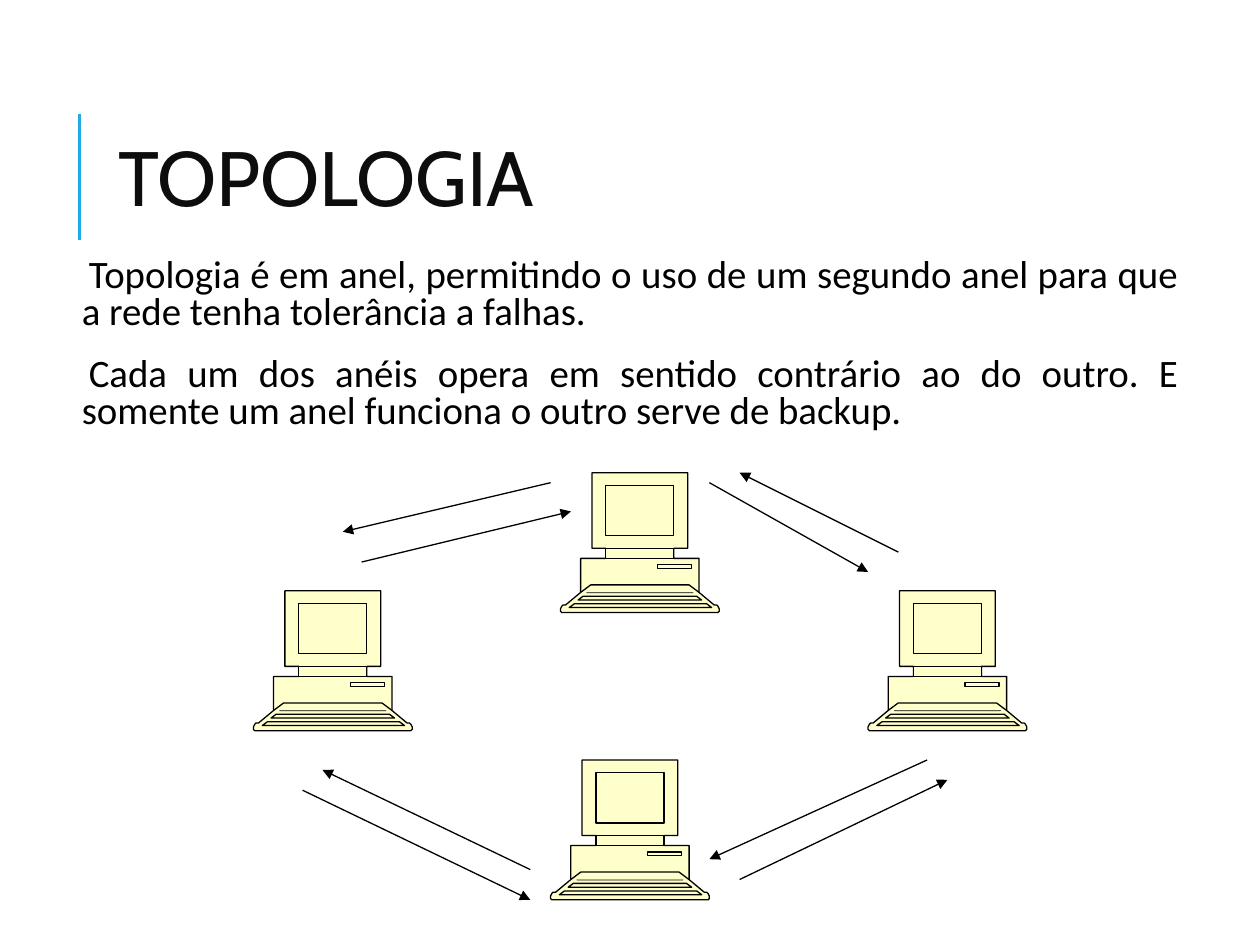
from lxml import etree
from pptx import Presentation
from pptx.dml.color import RGBColor
from pptx.enum.shapes import MSO_CONNECTOR
from pptx.enum.text import MSO_ANCHOR, PP_ALIGN
from pptx.oxml.ns import qn
from pptx.util import Cm, Pt

STRAIGHT = MSO_CONNECTOR.STRAIGHT
MIDDLE, TOP = MSO_ANCHOR.MIDDLE, MSO_ANCHOR.TOP
LEFT, JUSTIFY = PP_ALIGN.LEFT, PP_ALIGN.JUSTIFY

ACCENT = RGBColor(0x1C, 0xAD, 0xE4)
INK = RGBColor(0x0D, 0x0D, 0x0D)
BLACK = RGBColor(0x00, 0x00, 0x00)
CREAM = RGBColor(0xFF, 0xFF, 0xCC)

TITLE_FONT = {"name": "Cabin", "size": Pt(44)}
BODY_FONT = {"name": "Calibri", "size": Pt(22.2)}

# Computer drawing, in units of 0.0254 cm
UNIT = Cm(0.0254)
WIDTH = 126
HALF_OUTLINE = [(63, 0), (25, 0), (25, 60), (36, 60), (36, 68), (16, 68),
                (16, 95), (4, 105), (2, 105), (1, 106), (0, 108), (0, 110),
                (1, 111), (4, 111), (63, 111)]


def box(left, top, right, bottom):
    return [(left, top), (right, top), (right, bottom), (left, bottom)]


def key_row(left, right, bottom):
    return [(right, bottom), (right - 4, bottom - 3),
            (left + 4, bottom - 3), (left, bottom)]


OUTLINE = HALF_OUTLINE + [(WIDTH - x, y) for x, y in HALF_OUTLINE[-2:0:-1]]
KEYBOARD_TOP = [(110, 95), (102, 89), (24, 89), (16, 95)]
COMPUTER = [  # points, closed
    (OUTLINE, True),
    (key_row(21, 105, 95), True),
    (key_row(14, 112, 101), True),
    (key_row(7, 120, 107), True),
    (KEYBOARD_TOP, False),
    (box(77, 73, 104, 76), True),   # disk slot
    (box(36, 10, 90, 50), True),    # screen
    (box(36, 60, 90, 68), True),    # neck
]


class Deck:
    def __init__(self, prs, fill, line, line_width):
        self.s = prs.slides.add_slide(prs.slide_layouts[6])
        self.fill, self.line, self.line_width = fill, line, line_width

    def text(self, place, paragraphs, font, color, anchor=TOP, align=LEFT,
             inset=None, bullet=False):
        sp = self.s.shapes.add_textbox(*map(Cm, place))
        tf = sp.text_frame
        frame = {"word_wrap": True, "vertical_anchor": anchor}
        if inset is not None:
            for side in ("left", "top", "right", "bottom"):
                frame["margin_" + side] = Cm(inset)
        for name, value in frame.items():
            setattr(tf, name, value)
        for i, words in enumerate(paragraphs):
            p = tf.add_paragraph() if i else tf.paragraphs[0]
            p.alignment, p.line_spacing = align, 0.8
            if bullet:
                p.space_before, p.space_after = Pt(12 if i else 0), Pt(2)
                self.blank_bullet(p)
            r = p.add_run()
            r.text = words
            for name, value in font.items():
                setattr(r.font, name, value)
            r.font.color.rgb = color

    def blank_bullet(self, p):
        pPr = p._p.get_or_add_pPr()
        pPr.set("marL", str(Cm(0.25)))
        pPr.set("indent", str(-Cm(0.25)))
        etree.SubElement(pPr, qn("a:buChar")).set("char", " ")

    def connector(self, start, end, color=None, width=None, arrow=True):
        sp = self.s.shapes.add_connector(STRAIGHT, *map(Cm, start + end))
        sp.line.color.rgb = color or self.line
        sp.line.width = Pt(width or self.line_width)
        if arrow:
            ln = sp.line._get_or_add_ln()
            etree.SubElement(ln, qn("a:tailEnd")).set("type", "triangle")
        etree.SubElement(sp._element.spPr, qn("a:effectLst"))

    def computer(self, left, top):
        builder = None
        for points, closed in COMPUTER:
            if builder is None:
                builder = self.s.shapes.build_freeform(*points[0], scale=UNIT)
            else:
                builder.move_to(*points[0])
            builder.add_line_segments(points[1:], close=closed)
        sp = builder.convert_to_shape(Cm(left), Cm(top))
        sp.shadow.inherit = False
        sp.fill.solid()
        sp.fill.fore_color.rgb = self.fill
        sp.line.color.rgb = self.line
        sp.line.width = Pt(self.line_width)
        self.split_contours(sp)

    def split_contours(self, sp):
        # One path per contour, so that inner parts are filled and not cut out
        contours = sp._element.spPr.find(".//" + qn("a:pathLst"))
        whole = contours[0]
        for node in list(whole):
            if node.tag == qn("a:moveTo"):
                part = etree.SubElement(contours, qn("a:path"), dict(whole.attrib))
            part.append(node)
        contours.remove(whole)


def main():
    prs = Presentation()
    prs.slide_width, prs.slide_height = Cm(25.4), Cm(19.05)
    deck = Deck(prs, fill=CREAM, line=BLACK, line_width=0.75)

    # Title with accent rule
    deck.connector((1.6, 4.83), (1.6, 2.29), ACCENT, 1.5, arrow=False)
    deck.text((2.13, 1.63, 20.24, 4.17), ["TOPOLOGIA"], TITLE_FONT, INK,
              anchor=MIDDLE)

    # Explanation
    deck.text((1.27, 5.08, 22.63, 4.65), [
        "Topologia é em anel, permitindo o uso de um segundo anel para que "
        "a rede tenha tolerância a falhas.",
        "Cada um dos anéis opera em sentido contrário ao do outro. "
        "E somente um anel funciona o outro serve de backup.",
    ], BODY_FONT, BLACK, align=JUSTIFY, inset=0.13, bullet=True)

    # Computers: top, bottom, left, right
    for left, top in [(11.3, 9.53), (11.1, 15.32), (5.11, 11.91), (17.5, 11.91)]:
        deck.computer(left, top)

    # Arrows of the two rings
    for start, end in [
        ((10.69, 17.53), (6.5, 15.52)),
        ((7.29, 11.33), (11.51, 10.31)),
        ((14.3, 9.73), (17.5, 11.53)),
        ((18.69, 15.32), (14.3, 17.32)),
        ((6.1, 15.93), (10.69, 18.14)),
        ((14.91, 17.73), (19.1, 15.72)),
        ((18.11, 11.13), (14.91, 9.53)),
        ((11.1, 9.73), (6.91, 10.72)),
    ]:
        deck.connector(start, end)

    prs.save("out.pptx")


if __name__ == "__main__":
    main()
